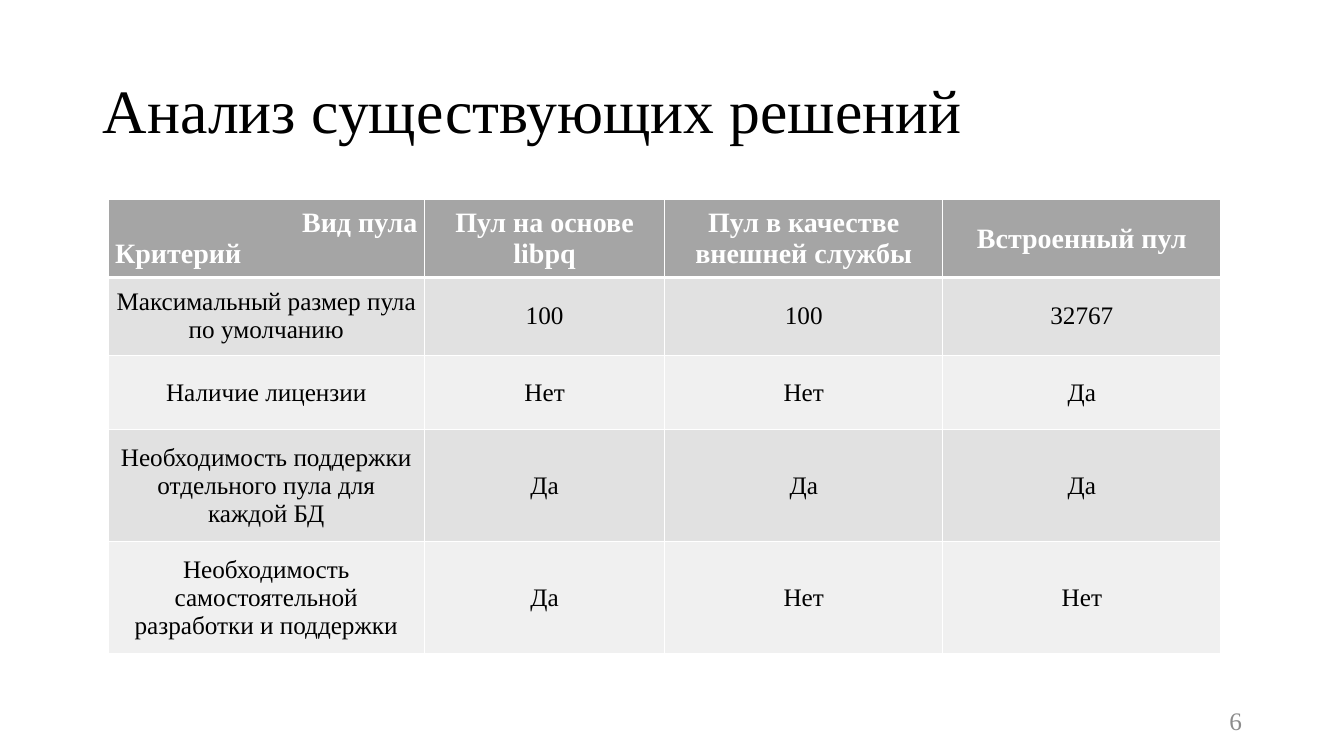
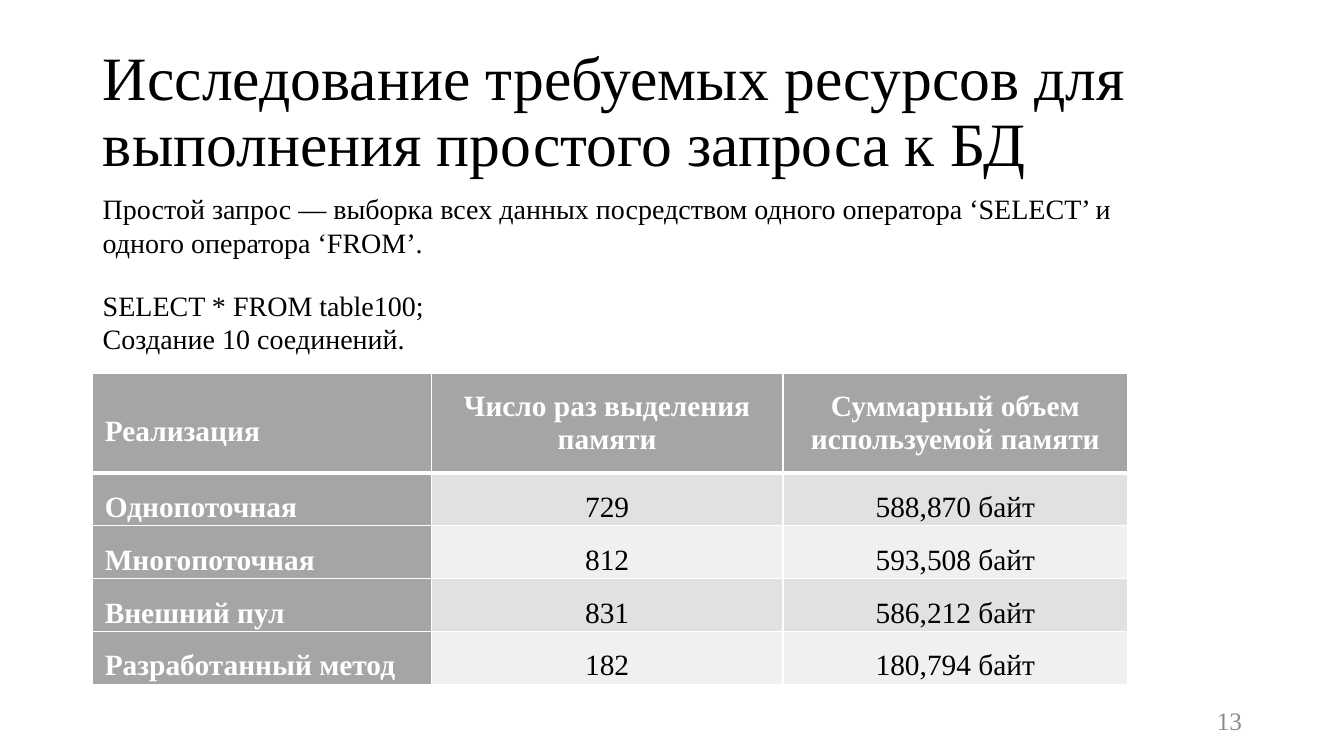
from lxml.etree import SubElement
from pptx import Presentation
from pptx.dml.color import RGBColor
from pptx.enum.text import MSO_ANCHOR, MSO_AUTO_SIZE, PP_ALIGN
from pptx.oxml.ns import qn
from pptx.util import Cm, Pt

FONT = "Times New Roman"
BLACK, WHITE, GREY = "000000", "FFFFFF", "8C8C8C"
HEADER, BANDS = "A5A5A5", ("E1E1E1", "F0F0F0")
LEFT, CENTER, RIGHT = PP_ALIGN.LEFT, PP_ALIGN.CENTER, PP_ALIGN.RIGHT
JUSTIFY = PP_ALIGN.JUSTIFY
MARGIN = 2.34


def color(hex_value):
    """Turn a hex string into a colour."""
    return RGBColor.from_string(hex_value)


def assign(target, values):
    """Set each attribute named in values on target."""
    for attribute, value in values.items():
        setattr(target, attribute, value)


def place(shape, left, top, width, height):
    """Move and size a shape, in centimetres."""
    assign(shape, {"left": Cm(left), "top": Cm(top),
                   "width": Cm(width), "height": Cm(height)})


def write(frame, lines, size, ink=BLACK, bold=False, **layout):
    """Fill a text frame with lines in one style, returning its paragraphs."""
    frame.text = "\n".join(lines)
    for paragraph in frame.paragraphs:
        assign(paragraph, layout)
        for run in paragraph.runs:
            assign(run.font, {"name": FONT, "size": Pt(size), "bold": bold})
            run.font.color.rgb = color(ink)
    return frame.paragraphs


def border(cell, **widths):
    """Draw white cell borders; widths in points are keyed by side."""
    properties = cell._tc.get_or_add_tcPr()
    for side in "LRTB":
        line = SubElement(properties, qn(f"a:ln{side}"),
                          w=str(Pt(widths.get(side, 1))))
        fill = SubElement(line, qn("a:solidFill"))
        SubElement(fill, qn("a:srgbClr"), val=WHITE)


class Deck:
    """Shared slide style and the slide being built."""

    def __init__(self):
        """Start an empty widescreen presentation."""
        self.presentation = Presentation()
        assign(self.presentation,
               {"slide_width": Cm(33.87), "slide_height": Cm(19.05)})
        self.slide = None

    def start(self, heading, number, width):
        """Add a slide with its title and page number."""
        layout = self.presentation.slide_layouts.get_by_name("Title Only")
        self.slide = self.presentation.slides.add_slide(layout)
        title = self.slide.shapes.title
        place(title, MARGIN, 1.02, width, 3.68)
        assign(title.text_frame, {"auto_size": MSO_AUTO_SIZE.NONE,
                                  "vertical_anchor": MSO_ANCHOR.MIDDLE})
        write(title.text_frame, [heading], 44, alignment=LEFT,
              line_spacing=0.9)
        self.text([str(number)], (23.93, 17.65, 7.62, 1.02), 18, GREY,
                  MSO_ANCHOR.MIDDLE, alignment=RIGHT)

    def text(self, lines, box, size, ink=BLACK, anchor=MSO_ANCHOR.TOP,
             **layout):
        """Add a wrapped text box and return its paragraphs."""
        frame = self.slide.shapes.add_textbox(*map(Cm, box)).text_frame
        assign(frame, {"word_wrap": True, "vertical_anchor": anchor})
        return write(frame, lines, size, ink, **layout)

    def table(self, rows, corner, widths, heights, insets, sizes,
              side_header=False, body_spacing=None):
        """Add a banded table with a header row, returning the table."""
        left, top = corner
        table = self.slide.shapes.add_table(
            len(rows), len(widths), Cm(left), Cm(top),
            Cm(sum(widths)), Cm(sum(heights))).table
        assign(table, {"first_row": False, "horz_banding": False})
        for column, width in zip(table.columns, widths):
            column.width = Cm(width)
        for row, height in zip(table.rows, heights):
            row.height = Cm(height)
        across, down = map(Cm, insets)
        header_size, body_size = sizes
        for r, row in enumerate(rows):
            for c, content in enumerate(row):
                cell = table.cell(r, c)
                assign(cell, {"margin_left": across, "margin_right": across,
                              "margin_top": down, "margin_bottom": down,
                              "vertical_anchor": MSO_ANCHOR.MIDDLE})
                border(cell, T=3 if r == 1 else 1, B=3 if r == 0 else 1)
                beside = side_header and c == 0
                heading = r == 0 or beside
                cell.fill.solid()
                cell.fill.fore_color.rgb = color(
                    HEADER if heading else BANDS[(r - 1) % 2])
                write(cell.text_frame, content.split("\n"),
                      header_size if heading else body_size,
                      WHITE if heading else BLACK, heading,
                      alignment=JUSTIFY if beside else CENTER,
                      line_spacing=body_spacing if r or beside else None)
        return table


deck = Deck()

deck.start("Анализ существующих решений", 6, 28.4)
comparison = deck.table(
    [("Вид пула\nКритерий", "Пул на основе libpq",
      "Пул в качестве внешней службы", "Встроенный пул"),
     ("Максимальный размер пула по умолчанию", "100", "100", "32767"),
     ("Наличие лицензии", "Нет", "Нет", "Да"),
     ("Необходимость поддержки отдельного пула для каждой БД",
      "Да", "Да", "Да"),
     ("Необходимость самостоятельной разработки и поддержки",
      "Да", "Нет", "Нет")],
    corner=(2.72, 5.03), widths=(7.98, 6.05, 7.01, 7.01),
    heights=(1.96, 1.96, 1.88, 2.82, 2.82), insets=(0.18, 0.1),
    sizes=(20, 18))
pool_kind, criterion = comparison.cell(0, 0).text_frame.paragraphs
pool_kind.alignment, criterion.alignment = RIGHT, LEFT

deck.start("Исследование требуемых ресурсов для выполнения простого "
           "запроса к БД", 13, 29.21)
deck.table(
    [("Реализация", "Число раз выделения памяти",
      "Суммарный объем используемой памяти"),
     ("Однопоточная", "729", "588,870 байт"),
     ("Многопоточная", "812", "593,508 байт"),
     ("Внешний пул", "831", "586,212 байт"),
     ("Разработанный метод", "182", "180,794 байт")],
    corner=(MARGIN, 9.42), widths=(8.53, 8.86, 8.69),
    heights=(2.49, 1.24, 1.24, 1.27, 1.22), insets=(0.3, 0),
    sizes=(21, 21), side_header=True, body_spacing=1.5)
definition, query, connections = deck.text(
    ["Простой запрос — выборка всех данных посредством одного оператора "
     "‘SELECT’ и одного оператора ‘FROM’.",
     "SELECT * FROM table100;", "Создание 10 соединений."],
    (MARGIN, 4.7, 26.09, 4.45), 20)
query.space_before = Pt(21)

deck.presentation.save("out.pptx")
